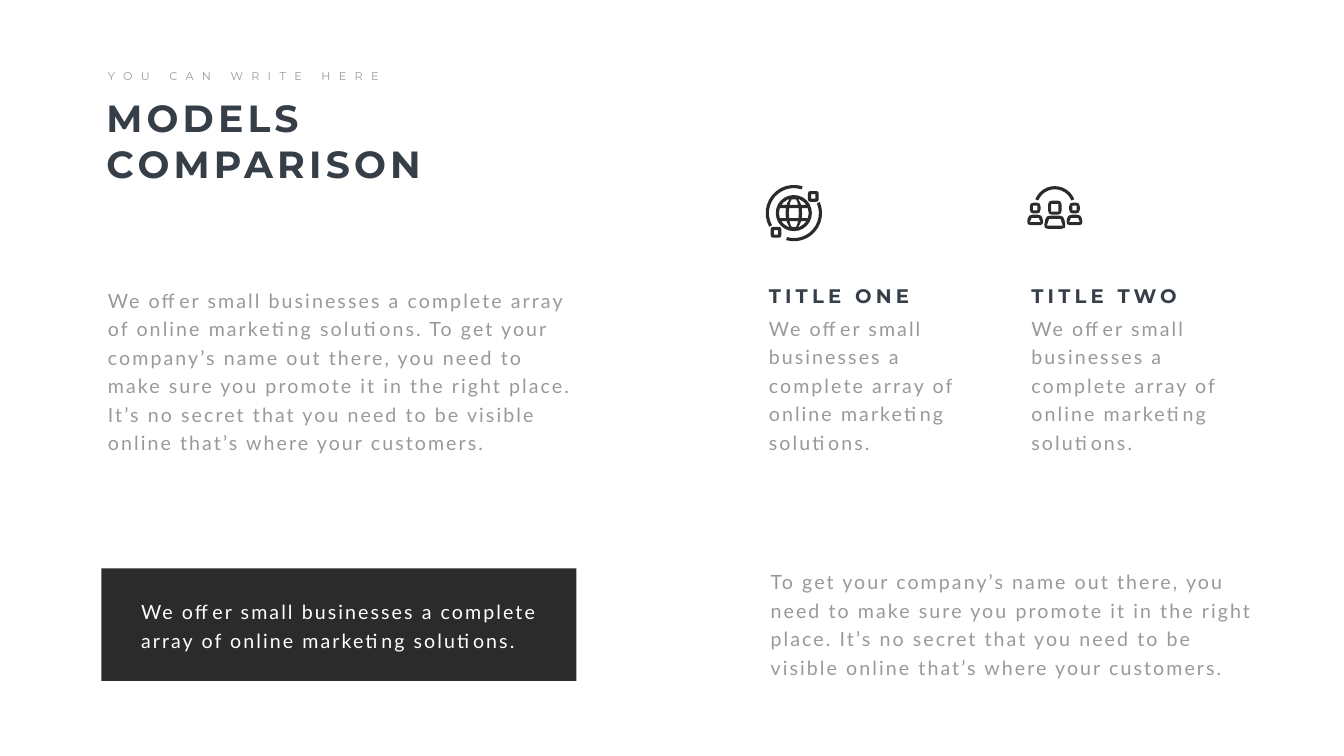
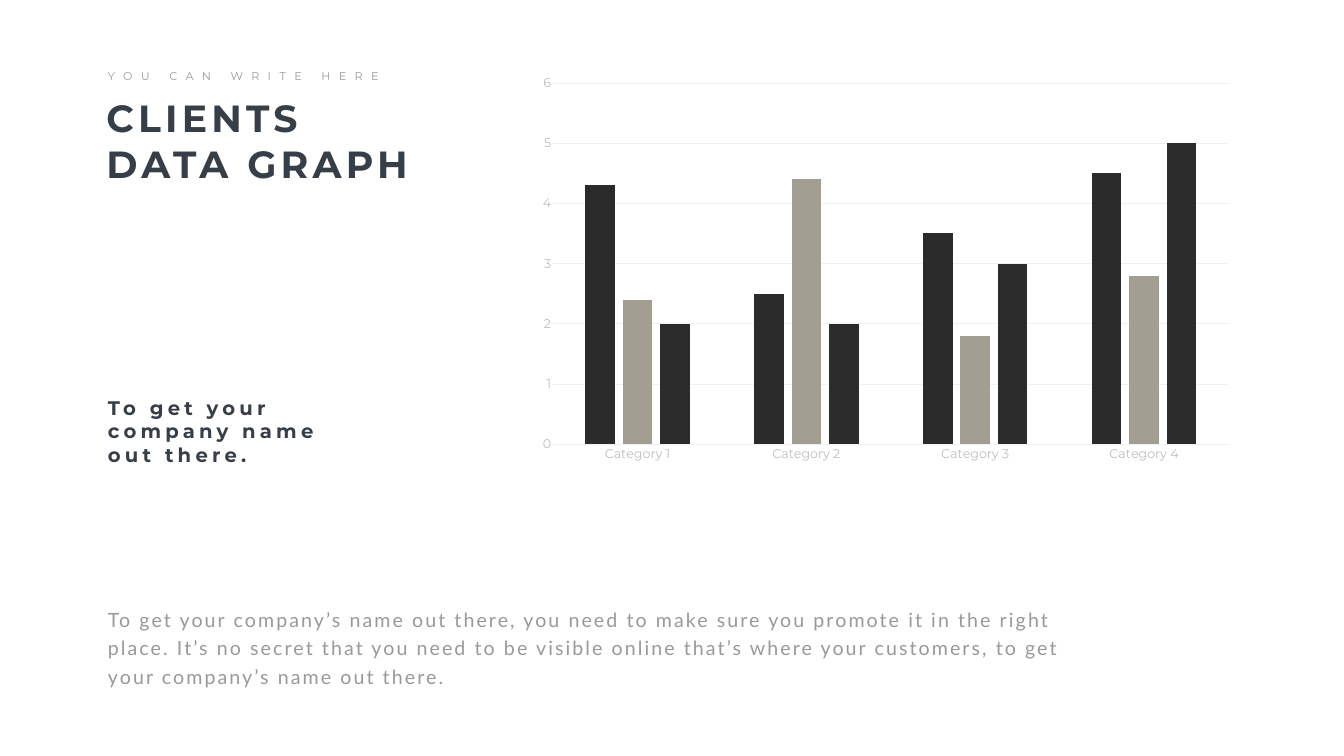
from math import cos, sin, radians, sqrt
from pptx import Presentation, util as u
from pptx.chart.data import CategoryChartData
from pptx.dml.color import RGBColor
from pptx.enum import chart as ch, shapes, text

DARK, INK, GREY, SAND = "2B2B2B", "363E48", "999999", "A29F92"
PALE, RULE, WHITE = "BDBDBD", "F0F0F0", "FFFFFF"
HEAD, BODY = "Montserrat", "Lato"

OFFER = "We offer small businesses a complete array of online marketing solutions."
REACH = ("To get your company’s name out there, you need to make sure you "
         "promote it in the right place. It’s no secret that you need to be "
         "visible online that’s where your customers")


def rgb(code):
    return RGBColor.from_string(code)


# Outlines as lists of points, in centimetres

def arc(mid, rad, start, end, steps=12):
    turns = [radians(start + (end - start) * i / steps) for i in range(steps + 1)]
    return [(mid[0] + rad * cos(t), mid[1] + rad * sin(t)) for t in turns]


def band(mid, inner, outer, start, end):
    return arc(mid, outer, start, end) + arc(mid, inner, end, start)


def trap(x, top, upper, lower, high, rad=0):
    """Trapezium centred on x; rad cuts its corners round."""
    ends = [(x - upper / 2, top), (x + upper / 2, top),
            (x + lower / 2, top + high), (x - lower / 2, top + high)]
    if not rad:
        return ends
    pts = []
    for i, (cx, cy) in enumerate(ends):
        near = []
        for ox, oy in (ends[i - 1], ends[(i + 1) % 4]):
            part = rad / sqrt((ox - cx) ** 2 + (oy - cy) ** 2)
            near.append((cx + (ox - cx) * part, cy + (oy - cy) * part))
        (ax, ay), (bx, by) = near
        pts += [near[0], ((ax + bx + 2 * cx) / 4, (ay + by + 2 * cy) / 4), near[1]]
    return pts


def frame(x, top, upper, lower, high, rad=0.2, wall=0.16):
    """A rounded trapezium and the hole inside it."""
    return [trap(x, top, upper, lower, high, rad),
            trap(x, top + wall, upper - 2 * wall, lower - 2 * wall, high - 2 * wall)]


def cell(mid, low, high, left, right):
    """Hole in the globe between two meridians, each (half width, half height)."""
    def edge(side, y):
        return mid[0] + side[0] * sqrt(1 - (y / side[1]) ** 2), mid[1] + y
    rows = (low, (low + high) / 2, high)
    return [edge(right, y) for y in rows] + [edge(left, y) for y in reversed(rows)]


def write(box, words, size=28, font=BODY, color=GREY, bold=False, gap=3, lead=None):
    para = box.paragraphs[0]
    if lead:
        para.line_spacing = u.Pt(lead)
    run = para.add_run()
    run.text = words
    run.font.size, run.font.name, run.font.bold = u.Pt(size), font, bold
    run.font.color.rgb = rgb(color)
    run._r.get_or_add_rPr().set("spc", str(gap * 100))


class Deck:
    def __init__(self):
        self.prs = Presentation()
        self.prs.slide_width, self.prs.slide_height = u.Cm(67.72), u.Cm(38.1)

    def page(self, title, wide):
        self.slide = self.prs.slides.add_slide(self.prs.slide_layouts[6])
        self.group()
        self.label((5.11, 4.66, wide, 4.88), title, size=54)
        self.text((5.19, 3.38, 14.68, 0.94), "YOU CAN WRITE HERE", wrap=False,
                  size=16, font=HEAD, gap=12)
        self.loose()

    def group(self):
        self.room = self.slide.shapes.add_group_shape().shapes

    def loose(self):
        self.room = self.slide.shapes

    def text(self, at, words, wrap=True, **form):
        box = self.room.add_textbox(*map(u.Cm, at)).text_frame
        box.word_wrap = wrap
        box.auto_size = text.MSO_AUTO_SIZE.SHAPE_TO_FIT_TEXT
        write(box, words, **form)

    def label(self, at, words, **form):
        self.text(at, words, font=HEAD, color=INK, bold=True, gap=6, **form)

    def prose(self, at, words, **form):
        self.text(at, words, lead=40.8, **form)

    def paint(self, shape):
        shape.shadow.inherit = False
        shape.fill.solid()
        shape.fill.fore_color.rgb = rgb(DARK)
        shape.line.fill.background()

    def panel(self, at):
        kind = shapes.MSO_SHAPE.RECTANGLE
        self.paint(self.room.add_shape(kind, *map(u.Cm, at)))

    def free(self, *loops):
        loops = [[(u.Cm(x), u.Cm(y)) for x, y in loop] for loop in loops]
        pen = self.room.build_freeform(*loops[0][0])
        for i, loop in enumerate(loops):
            if i:
                pen.move_to(*loop[0])
            pen.add_line_segments(loop[1:], close=True)
        self.paint(pen.convert_to_shape())

    def globe(self, x, y):
        mid, thin, wide, rim = (x, y), (0.25, 0.78), (0.42, 0.82), (0.75, 0.75)
        holes = []
        for low, high in ((-0.69, -0.41), (-0.25, 0.25), (0.41, 0.69)):
            holes.append(cell(mid, low, high, (-thin[0], thin[1]), thin))
            holes.append(cell(mid, low, high, wide, rim))
            holes.append(cell(mid, low, high, (-rim[0], rim[1]), (-wide[0], wide[1])))
        self.free(arc(mid, 0.91, 0, 360, 24), *holes)
        # Orbit arms, each with a small square
        for dx, dy, start, end in ((0.98, -1.11, -23, 106), (-0.9, 0.7, 151, 288)):
            self.free(band(mid, 1.26, 1.42, start, end),
                      *frame(x + dx, y + dy, 0.54, 0.54, 0.54, rad=0.12))

    def team(self, x, y):
        side = ((-0.23, 0.54, 0.54, 0.55), (0.38, 0.68, 0.86, 0.53))
        chief = ((-0.33, 0.68, 0.68, 0.71), (0.43, 0.9, 1.12, 0.66))
        for dx, parts in ((0, chief), (-0.99, side), (0.99, side)):
            for top, *size in parts:
                self.free(*frame(x + dx, y + top, *size))
        self.free(band((x, y), 0.9, 1.06, -158, -22))

    def bars(self, at, cats, rows):
        data = CategoryChartData()
        data.categories = cats
        for i, (vals, _) in enumerate(rows, 1):
            data.add_series(f"Series {i}", vals)
        kind = ch.XL_CHART_TYPE.COLUMN_CLUSTERED
        chart = self.slide.shapes.add_chart(kind, *map(u.Cm, at), data).chart
        chart.has_legend = chart.has_title = False
        chart.font.size, chart.font.name = u.Pt(18), HEAD
        chart.font.color.rgb = rgb(GREY)
        plot = chart.plots[0]
        plot.gap_width, plot.overlap, plot.vary_by_categories = 219, -27, False
        for row, (_, color) in zip(plot.series, rows):
            row.format.fill.solid()
            row.format.fill.fore_color.rgb = rgb(color)
        # Axes
        cat, val = chart.category_axis, chart.value_axis
        for axis in (cat, val):
            axis.major_tick_mark = axis.minor_tick_mark = ch.XL_TICK_MARK.NONE
            font = axis.tick_labels.font
            font.size, font.name = u.Pt(18), HEAD
            font.color.rgb = rgb(PALE)
        for line in (cat.format.line, val.major_gridlines.format.line):
            line.width = u.Pt(0.75)
            line.color.rgb = rgb(RULE)
        val.format.line.fill.background()
        val.minimum_scale, val.maximum_scale, val.major_unit = 0, 6, 1


def main():
    deck = Deck()

    # Models comparison
    deck.page("MODELS COMPARISON", 24.13)
    deck.group()
    deck.panel((5.11, 28.65, 23.93, 5.66))
    deck.prose((6.86, 29.87, 20.88, 3.02), OFFER, color=WHITE)
    deck.loose()
    deck.prose((5.19, 14.16, 24.13, 8.86), f"{OFFER} {REACH}.")
    deck.group()
    for i, name in enumerate(("TITLE ONE", "TITLE TWO")):
        left = 38.49 + 13.23 * i
        deck.prose((left, 15.57, 10.9, 7.42), OFFER)
        deck.label((left, 14.17, 10.9, 1.45), name)
    deck.team(53.15, 10.44)
    deck.globe(40, 10.74)
    deck.loose()
    deck.prose((38.58, 28.36, 25.32, 5.94), f"{REACH}.")

    # Clients data graph
    deck.page("CLIENTS DATA GRAPH", 16.38)
    deck.prose((5.19, 30.24, 49.71, 4.5),
               f"{REACH}, to get your company’s name out there.")
    deck.bars((26.63, 3.39, 35.99, 20.27), [f"Category {i}" for i in range(1, 5)],
              [((4.3, 2.5, 3.5, 4.5), DARK),
               ((2.4, 4.4, 1.8, 2.8), SAND),
               ((2, 2, 3, 5), "2B2C2B")])
    deck.label((5.19, 19.81, 11.86, 3.84), "To get your company name out there.")

    deck.prs.save("out.pptx")


if __name__ == "__main__":
    main()
